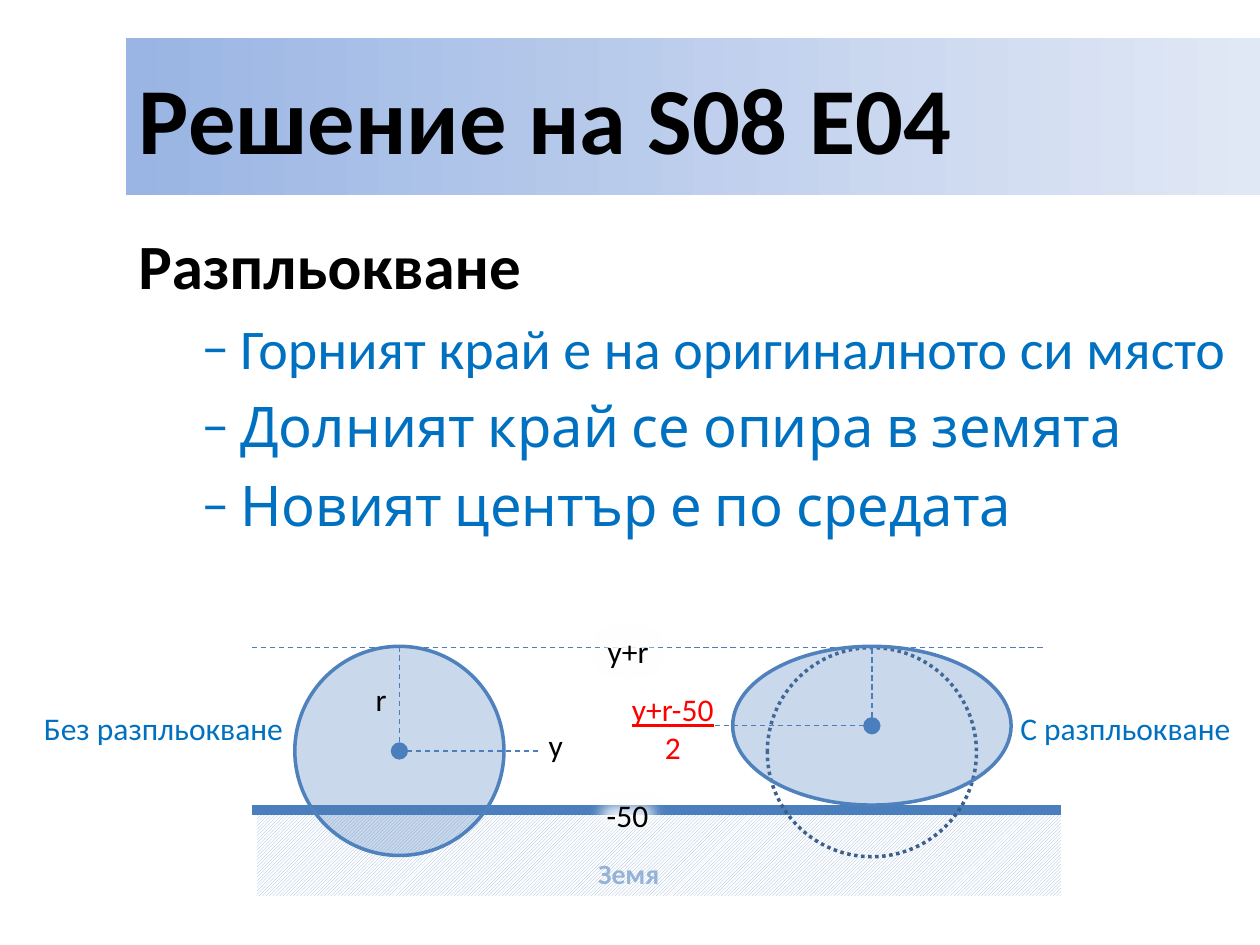
import pptx
import pptx.util
import pptx.dml.color
import pptx.enum.dml
import pptx.enum.shapes
import pptx.enum.text
import pptx.oxml
import pptx.oxml.ns

SHAPE = pptx.enum.shapes.MSO_SHAPE
ALIGN = pptx.enum.text.PP_ALIGN
ANCHOR = pptx.enum.text.MSO_ANCHOR
DASH = pptx.enum.dml.MSO_LINE
COLUMNS, ROWS = 100, 75
BLUE, STROKE, BALL, PALE = "0070C0", "4B7EBC", "4F81BD", "95B3D7"

deck = pptx.Presentation()
deck.slide_width = pptx.util.Inches(10)
deck.slide_height = pptx.util.Inches(7.5)


def grid(*cells):
    sizes = (deck.slide_width / COLUMNS, deck.slide_height / ROWS)
    return [round(cell * sizes[i % 2]) for i, cell in enumerate(cells)]


def paint(target, colour):
    target.rgb = pptx.dml.color.RGBColor.from_string(colour)


def add_xml(parent, tag, **attributes):
    child = pptx.oxml.parse_xml(f"<a:{tag} {pptx.oxml.ns.nsdecls('a')}/>")
    for name, value in attributes.items():
        child.set(name, str(value))
    parent.append(child)
    return child


def write(paragraph, text, size=18, colour="000000", font="Calibri", bold=False,
          underline=False, align=ALIGN.LEFT, before=0):
    paragraph.alignment = align
    paragraph.space_before = pptx.util.Pt(before)
    run = paragraph.add_run()
    run.text = text
    run.font.size = pptx.util.Pt(size)
    run.font.name = font
    run.font.bold = bold
    run.font.underline = underline
    paint(run.font.color, colour)


def label(slide, box, text, wrap=False, align=ALIGN.CENTER, **style):
    frame = slide.shapes.add_textbox(*grid(*box)).text_frame
    frame.word_wrap = wrap
    write(frame.paragraphs[0], text, align=align, **style)
    return frame


def masked_label(slide, box, text):
    mask = slide.shapes.add_shape(SHAPE.RECTANGLE, *grid(*box))
    mask.shadow.inherit = False
    add_xml(mask._element.spPr.find(pptx.oxml.ns.qn("a:effectLst")), "softEdge", rad=127000)
    mask.fill.solid()
    paint(mask.fill.fore_color, "FFFFFF")
    mask.line.fill.background()
    frame = mask.text_frame
    frame.word_wrap = False
    frame.auto_size = pptx.enum.text.MSO_AUTO_SIZE.SHAPE_TO_FIT_TEXT
    write(frame.paragraphs[0], text, align=ALIGN.CENTER)


def ellipse(slide, x, y, rx, ry, colour, filled=True):
    ball = slide.shapes.add_shape(SHAPE.OVAL, *grid(x - rx, y - ry, 2 * rx, 2 * ry))
    ball.shadow.inherit = False
    paint(ball.line.color, colour)
    ball.line.width = pptx.util.Pt(2)
    if filled:
        ball.fill.solid()
        paint(ball.fill.fore_color, colour)
        tint = ball._element.spPr.find(".//" + pptx.oxml.ns.qn("a:srgbClr"))
        add_xml(tint, "alpha", val=30000)
    else:
        ball.fill.background()
        ball.line.dash_style = DASH.ROUND_DOT


def line(slide, start, end, width=0.75, dashed=True, dot=False):
    stroke = slide.shapes.add_connector(
        pptx.enum.shapes.MSO_CONNECTOR.STRAIGHT, *grid(*start, *end))
    paint(stroke.line.color, STROKE)
    stroke.line.width = pptx.util.Pt(width)
    if dashed:
        stroke.line.dash_style = DASH.DASH
    if dot:
        add_xml(stroke.line._get_or_add_ln(), "headEnd", type="oval", w="lg", len="lg")
    add_xml(stroke._element.spPr, "effectLst")


def heading(slide, box, text):
    title = slide.shapes.title
    title.left, title.top, title.width, title.height = grid(*box)
    title.fill.gradient()
    title.fill.gradient_angle = 0
    for stop, colour in zip(title.fill.gradient_stops, ("9AB5E4", "E1E8F5")):
        paint(stop.color, colour)
    title.text_frame.vertical_anchor = ANCHOR.MIDDLE
    write(title.text_frame.paragraphs[0], text, size=54, bold=True)


def explanation(slide, box, topic, points):
    frame = label(slide, box, topic, wrap=True, align=ALIGN.LEFT,
                  size=36, bold=True, before=7.2)
    for text, font in points:
        paragraph = frame.add_paragraph()
        write(paragraph, text, size=32, colour=BLUE, font=font, before=6.4)
        properties = paragraph._p.get_or_add_pPr()
        properties.set("marL", str(pptx.util.Inches(0.81)))
        properties.set("indent", str(pptx.util.Inches(-0.31)))
        add_xml(properties, "buFont", typeface="Calibri")
        add_xml(properties, "buChar", char="–")


def ground(slide, box):
    left, top, width, height = box
    soil = slide.shapes.add_shape(
        SHAPE.RECTANGLE, *grid(left + 0.4, top + 0.2, width - 0.4, height - 0.2))
    soil.shadow.inherit = False
    soil.line.fill.background()
    soil.fill.patterned()
    soil.fill.pattern = pptx.enum.dml.MSO_PATTERN.LIGHT_UPWARD_DIAGONAL
    paint(soil.fill.fore_color, PALE)
    paint(soil.fill.back_color, "FFFFFF")
    line(slide, (left, top), (left + width, top), width=6, dashed=False)
    label(slide, (left + 24.5, top + 3.2, 10.8, 3.7), "Земя", wrap=True,
          size=16, colour=PALE, bold=True)


def squash_diagram(slide, box):
    left, top, width, height = box
    radius, half_width, half_height = 8.3, 11.05, 6.3
    round_x, flat_x = left + 31.7, left + 69.2
    round_y, flat_y = top + radius, top + half_height
    label(slide, (left + 42.5, top + 5.8, 3.2, 4), "y")
    ground(slide, (left + 20, top + 13, 64.2, height - 13))
    for x, label_width, text in ((2.5, 22.5, "Без разпльокване"), (80, 20, "С разпльокване")):
        label(slide, (left + x, top + 4.5, label_width, 4), text, wrap=True,
              align=ALIGN.LEFT, colour=BLUE)
    ellipse(slide, round_x, round_y, radius, radius, BALL)
    line(slide, (left + 20, top + 0.1), (left + 82.8, top + 0.1))
    ellipse(slide, flat_x, round_y + 0.1, radius, radius, "3A5F8C", filled=False)
    ellipse(slide, flat_x, flat_y, half_width, half_height, BALL)
    for x, y, end in ((round_x, round_y, 42.9), (flat_x, flat_y, 55.5)):
        line(slide, (x, y), (left + end, y), dot=True)
        line(slide, (x, y), (x, top))
    masked_label(slide, (left + 46.3, top - 2.3, 7.1, 5.4), "y+r")
    masked_label(slide, (left + 45.9, top + 10.9, 7.8, 4.9), "-50")
    fraction = label(slide, (left + 49.1, top + 3, 8.6, 7.1), "y+r-50",
                     colour="FF0000", underline=True)
    write(fraction.add_paragraph(), "2", colour="FF0000", align=ALIGN.CENTER)
    label(slide, (left + 28.8, top + 2.2, 2.9, 4), "r")


solution = deck.slides.add_slide(deck.slide_layouts[5])
heading(solution, (10, 3, 90, 12.5), "Решение на S08 E04")
explanation(solution, (10, 17.5, 90, 55.8), "Разпльокване", (
    ("Горният край е на оригиналното си място", "Calibri"),
    ("Долният край се опира в земята", "Cabin"),
    ("Новият център е по средата", "Cabin"),
))
squash_diagram(solution, (0, 51.3, 100, 19.8))
deck.save("out.pptx")
